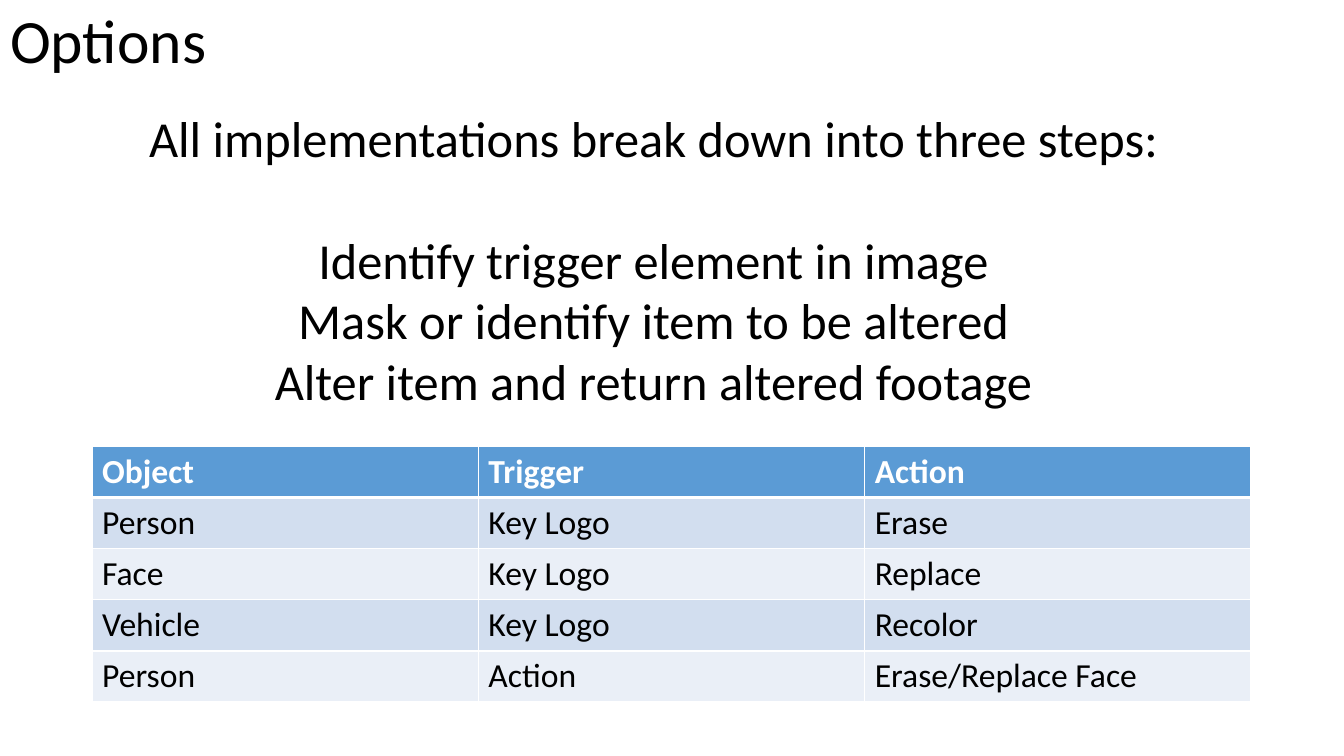
from dataclasses import dataclass

import pptx
import pptx.dml.color
import pptx.enum.text
import pptx.oxml.ns
import pptx.util
from lxml import etree

Cm = pptx.util.Cm
Pt = pptx.util.Pt
Align = pptx.enum.text.PP_ALIGN
Anchor = pptx.enum.text.MSO_ANCHOR
qn = pptx.oxml.ns.qn


@dataclass(frozen=True)
class Theme:
    font: str = "Calibri"
    ink: str = "000000"
    paper: str = "FFFFFF"
    header: str = "5B9BD5"
    bands: tuple = ("D2DEEF", "EAEFF7")
    title_size: int = 44
    body_size: int = 36
    table_size: int = 24
    thin: int = 1
    thick: int = 3


THEME = Theme()

INTRO = "All implementations break down into three steps:"
STEPS = [
    "Identify trigger element in image",
    "Mask or identify item to be altered",
    "Alter item and return altered footage",
]
OPTIONS = [
    ("Object", "Trigger", "Action"),
    ("Person", "Key Logo", "Erase"),
    ("Face", "Key Logo", "Replace"),
    ("Vehicle", "Key Logo", "Recolor"),
    ("Person", "Action", "Erase/Replace Face"),
]


def rgb(value):
    return pptx.dml.color.RGBColor.from_string(value)


def format_para(para, size, align, color=THEME.ink, bold=False):
    para.alignment = align
    for span in para.runs:
        span.font.name = THEME.font
        span.font.size = Pt(size)
        span.font.bold = bold
        span.font.color.rgb = rgb(color)


def place(shape, box):
    shape.left, shape.top, shape.width, shape.height = box


def add_title(page, box, text):
    title = page.shapes.title
    place(title, box)
    frame = title.text_frame
    frame.text = text
    frame.auto_size = pptx.enum.text.MSO_AUTO_SIZE.NONE
    frame.vertical_anchor = Anchor.MIDDLE
    frame.paragraphs[0].line_spacing = 0.9
    format_para(frame.paragraphs[0], THEME.title_size, Align.LEFT)


def add_steps(page, box, intro, steps):
    body = page.placeholders[1]
    place(body, box)
    frame = body.text_frame
    frame.text = "\n".join([intro, *steps])
    frame.auto_size = pptx.enum.text.MSO_AUTO_SIZE.NONE
    frame.word_wrap = False
    frame.vertical_anchor = Anchor.TOP
    for para in frame.paragraphs:
        para.space_before = para.space_after = Pt(0)
        para.line_spacing = 1.0
        format_para(para, THEME.body_size, Align.CENTER)
        # No bullet and no hanging indent
        properties = para._p.get_or_add_pPr()
        properties.set("marL", "0")
        properties.set("indent", "0")
        etree.SubElement(properties, qn("a:buNone"))
    # One line of air between the intro and the steps
    frame.paragraphs[0].space_after = Pt(THEME.body_size * 1.22)


def set_borders(cell, **widths):
    properties = cell._tc.get_or_add_tcPr()
    for side in "LRTB":
        width = widths.get(side, THEME.thin)
        line = etree.SubElement(properties, qn(f"a:ln{side}"), w=str(Pt(width)))
        fill = etree.SubElement(line, qn("a:solidFill"))
        etree.SubElement(fill, qn("a:srgbClr"), val=THEME.paper)


def add_options_table(page, box, rows):
    left, top, width, height = box
    table = page.shapes.add_table(len(rows), len(rows[0]), *box).table
    for column in table.columns:
        column.width = width // len(rows[0])
    for index, values in enumerate(rows):
        table.rows[index].height = height // len(rows)
        is_header = index == 0
        shade = THEME.header if is_header else THEME.bands[(index - 1) % 2]
        # The heavy rule lies between the header and the first row
        heavy = {0: {"B": THEME.thick}, 1: {"T": THEME.thick}}.get(index, {})
        for cell, value in zip(table.rows[index].cells, values):
            set_borders(cell, **heavy)
            cell.fill.solid()
            cell.fill.fore_color.rgb = rgb(shade)
            cell.text_frame.text = value
            color = THEME.paper if is_header else THEME.ink
            format_para(cell.text_frame.paragraphs[0], THEME.table_size,
                        Align.LEFT, color, is_header)


def build_options_slide(deck):
    # Layout 1 holds a title and a body
    page = deck.slides.add_slide(deck.slide_layouts[1])
    add_title(page, (Cm(0), Cm(0), Cm(29.21), Cm(2.18)), "Options")
    add_steps(page, (Cm(3.38), Cm(2.57), Cm(26.19), Cm(7.95)), INTRO, STEPS)
    add_options_table(page, (Cm(2.32), Cm(11.25), Cm(29.21), Cm(6.4)), OPTIONS)


def main():
    deck = pptx.Presentation()
    deck.slide_width, deck.slide_height = Cm(33.87), Cm(19.05)
    build_options_slide(deck)
    deck.save("out.pptx")


if __name__ == "__main__":
    main()
